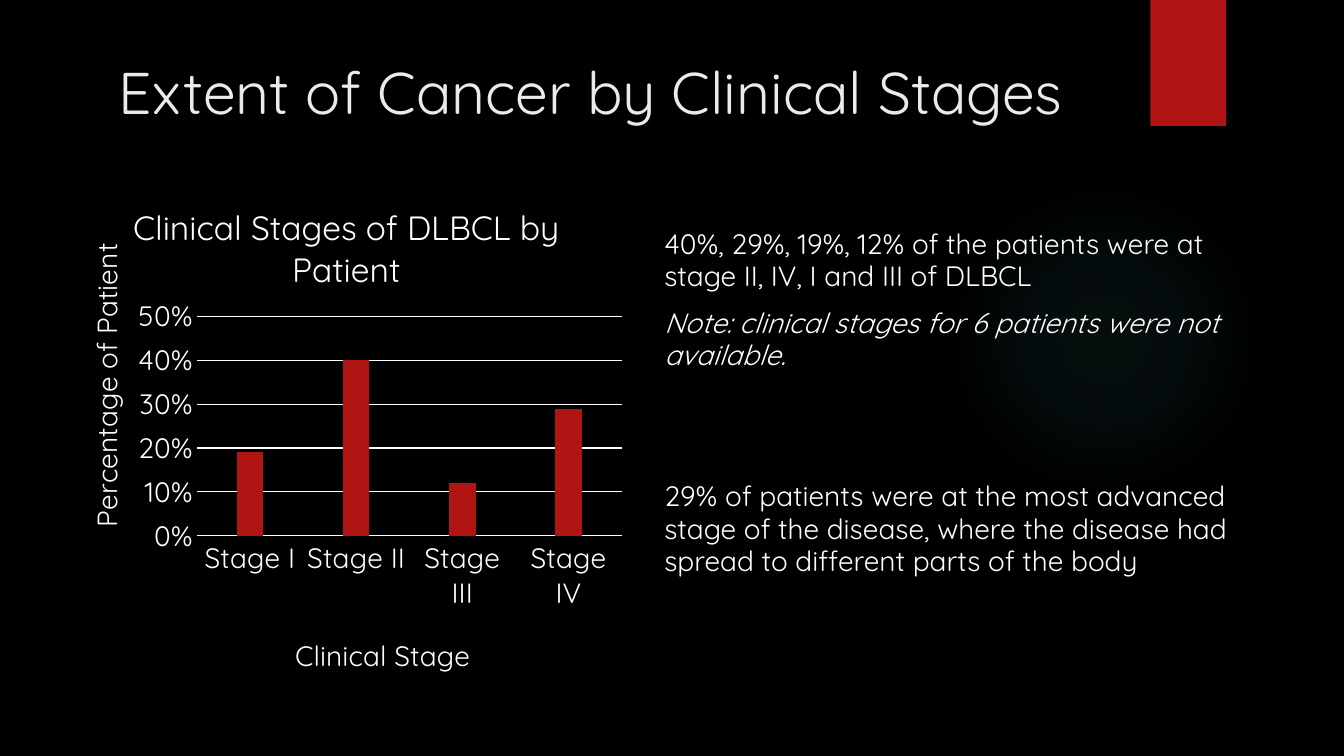
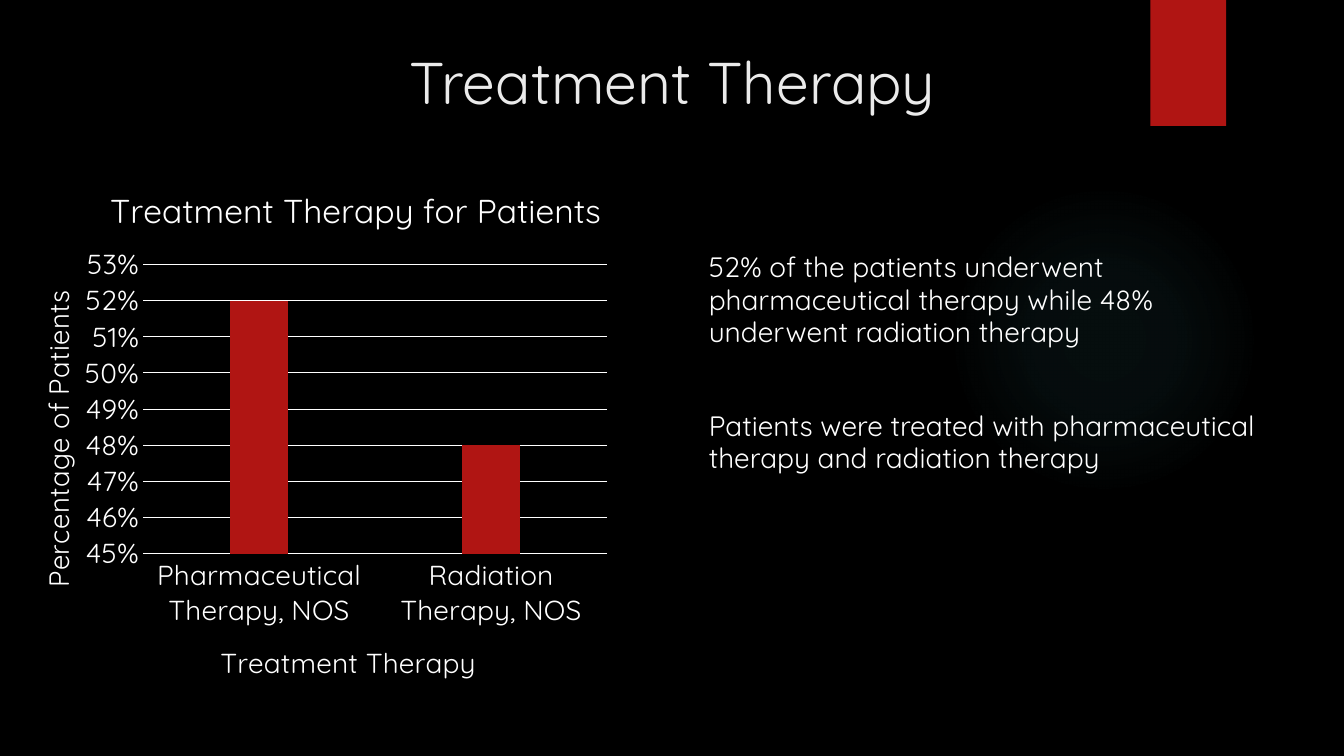
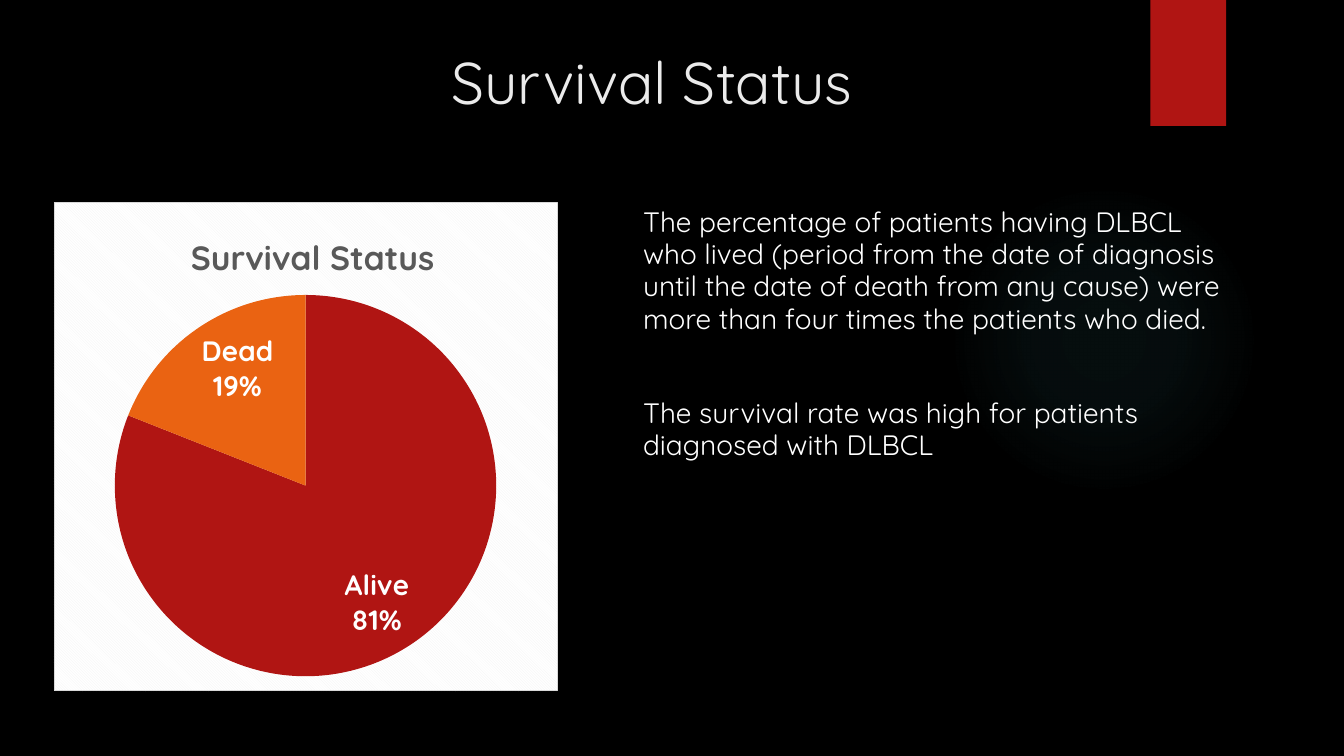
"""Build three slides on clinical stages, therapy and survival of DLBCL patients."""
from lxml import etree
from pptx import Presentation
from pptx.chart.data import CategoryChartData
from pptx.dml.color import RGBColor
from pptx.enum.chart import XL_CHART_TYPE as ChartType
from pptx.enum.chart import XL_LABEL_POSITION as LabelPosition
from pptx.enum.chart import XL_TICK_MARK as TickMark
from pptx.enum.shapes import MSO_SHAPE as Shape
from pptx.enum.text import MSO_ANCHOR as Anchor
from pptx.enum.text import MSO_AUTO_SIZE as AutoSize
from pptx.enum.text import PP_ALIGN as Align
from pptx.oxml import parse_xml
from pptx.oxml.ns import nsdecls, qn
from pptx.util import Inches, Pt

BLACK = RGBColor(0x00, 0x00, 0x00)
WHITE = RGBColor(0xFF, 0xFF, 0xFF)
PALE = RGBColor(0xEB, 0xEB, 0xEB)
GRAY = RGBColor(0x59, 0x59, 0x59)
RED = RGBColor(0xB0, 0x15, 0x13)
ORANGE = RGBColor(0xEA, 0x63, 0x12)
TEAL = RGBColor(0x50, 0xB9, 0xC1)
FONT = "Quicksand"
TITLE_SIZE, HEADING_SIZE, TEXT_SIZE = 42, 24, 20
GLOW_STOPS = [(0, 7), (36, 6), (69, 0)]
NO_FILL = "<a:noFill/><a:ln><a:noFill/></a:ln>"
STRIPES = (
    '<a:pattFill prst="dkDnDiag"><a:fgClr><a:srgbClr val="F2F2F2"/></a:fgClr>'
    '<a:bgClr><a:srgbClr val="FFFFFF"/></a:bgClr></a:pattFill>'
    '<a:ln w="9525"><a:solidFill><a:srgbClr val="D9D9D9"/></a:solidFill></a:ln>'
)

SLIDES = [
    {
        "title": "Extent of Cancer by Clinical Stages",
        "title_area": (5.33, 6.67, 77.2, 13.87),
        "body_area": (48.69, 29.6, 44.49, 60.4),
        "body": [
            ("40%, 29%, 19%, 12% of the patients were at stage II, IV, I and III of DLBCL", 0, False),
            ("Note: clinical stages for 6 patients were not available.", 10, True),
            ("29% of patients were at the most advanced stage of the disease, where the "
             "disease had spread to different parts of the body", 78, False),
        ],
        "chart_area": (3.83, 22.53, 43.29, 69.07),
        "heading": ("Clinical Stages of DLBCL by Patient", (0.13, 0.05)),
        "values": {"Stage I": 0.19, "Stage II": 0.4, "Stage III": 0.12, "Stage IV": 0.29},
        "plot": (0.25, 0.28, 0.73, 0.42),
        "scale": (0, 0.5, 0.1),
        "category_title": ("Clinical Stage", (0.41, 0.88)),
        "value_title": ("Percentage of Patient", (0.05, 0.13)),
    },
    {
        "title": "Treatment Therapy",
        "title_area": (6.9, 5.33, 86.27, 11.47),
        "body_area": (52, 32.67, 44.86, 57),
        "body": [
            ("52% of the patients underwent pharmaceutical therapy while 48% underwent "
             "radiation therapy", 0, False),
            ("Patients were treated with pharmaceutical therapy and radiation therapy", 44, False),
        ],
        "chart_area": (1.43, 20.4, 48.61, 70.8),
        "heading": ("Treatment Therapy for Patients", (0.13, 0.05)),
        "values": {"Pharmaceutical Therapy, NOS": 0.52, "Radiation Therapy, NOS": 0.48},
        "plot": (0.19, 0.21, 0.71, 0.55),
        "scale": (0.45, 0.53, 0.01),
        "category_title": ("Treatment Therapy", (0.3, 0.92)),
        "value_title": ("Percentage of Patients", (0.02, 0.26)),
    },
    {
        "title": "Survival Status",
        "title_area": (3.9, 5.33, 89.2, 12.93),
        "body_area": (47.11, 26.67, 46.06, 63.47),
        "body": [
            ("The percentage of patients having DLBCL who lived (period from the date of "
             "diagnosis until the date of death from any cause) were more than four times "
             "the patients who died.", 0, False),
            ("The survival rate was high for patients diagnosed with DLBCL", 44, False),
        ],
        "chart_area": (3.98, 26.67, 37.51, 64.8),
        "heading": ("Survival Status", (0.26, 0.05)),
        "values": {"Alive": 81, "Dead": 19},
        "plot": (0.12, 0.19, 0.76, 0.78),
        "scale": None,
    },
]

deck = Presentation()
deck.slide_width, deck.slide_height = Inches(13.33), Inches(7.5)
COLUMN, ROW = deck.slide_width / 100, deck.slide_height / 100


def write(para, text, size=TEXT_SIZE, color=WHITE, bold=False, italic=False,
          align=None, before=None, spacing=None):
    """Add formatted text to a paragraph."""
    span = para.add_run()
    span.text = text
    span.font.name, span.font.size = FONT, Pt(size)
    span.font.bold, span.font.italic = bold, italic
    span.font.color.rgb = color
    para.alignment, para.line_spacing = align, spacing
    if before is not None:
        para.space_before = Pt(before)


def place(element, shares, inner=False):
    """Fix a chart part at shares of the chart's size."""
    for old in element.findall(qn("c:layout")):
        element.remove(old)
    layout = etree.Element(qn("c:layout"))
    manual = etree.SubElement(layout, qn("c:manualLayout"))
    settings = [("layoutTarget", "inner")] if inner else []
    settings += [("xMode", "edge"), ("yMode", "edge")]
    settings += zip("xywh", shares)
    for name, value in settings:
        etree.SubElement(manual, qn(f"c:{name}")).set("val", str(value))
    element.insert(0 if inner else 1, layout)


deck.slide_master.background.fill.solid()
deck.slide_master.background.fill.fore_color.rgb = BLACK
title_only = deck.slide_layouts[5]
slides = [deck.slides.add_slide(title_only) for _ in SLIDES]

decorations = [(Shape.OVAL, (70.6, 24.4, 23.1, 41.07)), (Shape.RECTANGLE, (85.6, 0, 5.63, 16.67))]
for kind, (left, top, width, height) in decorations:
    decoration = slides[0].shapes.add_shape(
        kind, int(left * COLUMN), int(top * ROW), int(width * COLUMN), int(height * ROW))
    decoration.shadow.inherit = False
    decoration.line.fill.background()
    decoration.fill.solid()
    decoration.fill.fore_color.rgb = RED
    if kind == Shape.OVAL:
        stops = "".join(
            f'<a:gs pos="{position * 1000}"><a:srgbClr val="{TEAL}">'
            f'<a:alpha val="{alpha * 1000}"/></a:srgbClr></a:gs>'
            for position, alpha in GLOW_STOPS)
        solid = decoration.element.spPr.find(qn("a:solidFill"))
        solid.getparent().replace(solid, parse_xml(
            f'<a:gradFill {nsdecls("a")}><a:gsLst>{stops}</a:gsLst><a:path path="circle">'
            '<a:fillToRect l="50000" t="50000" r="50000" b="50000"/></a:path></a:gradFill>'))
    title_only.shapes.element.append(decoration.element)

for slide, content in zip(slides, SLIDES):
    title_area, body_area, chart_area = (
        (int(left * COLUMN), int(top * ROW), int(width * COLUMN), int(height * ROW))
        for left, top, width, height in (
            content["title_area"], content["body_area"], content["chart_area"]))

    title = slide.shapes.title
    title.left, title.top, title.width, title.height = title_area
    title.text_frame.vertical_anchor = Anchor.TOP
    title.text_frame.auto_size = AutoSize.NONE
    title.text_frame.word_wrap = True
    write(title.text_frame.paragraphs[0], content["title"], size=TITLE_SIZE,
          color=PALE, align=Align.CENTER)

    body = slide.shapes.add_textbox(*body_area).text_frame
    body.word_wrap = True
    for index, (text, before, italic) in enumerate(content["body"]):
        para = body.add_paragraph() if index else body.paragraphs[0]
        write(para, text, italic=italic, before=before, spacing=0.96)

    is_pie = content["scale"] is None
    data = CategoryChartData(number_format="0" if is_pie else "0%")
    data.categories = list(content["values"])
    data.add_series("Series 1", list(content["values"].values()))
    chart = slide.shapes.add_chart(
        ChartType.PIE if is_pie else ChartType.COLUMN_CLUSTERED, *chart_area, data).chart
    chart.has_legend = False
    chart.font.name, chart.font.size = FONT, Pt(TEXT_SIZE)
    chart.font.color.rgb = WHITE
    chart.element.find(qn("c:chart")).addnext(parse_xml(
        f'<c:spPr {nsdecls("c", "a")}>{STRIPES if is_pie else NO_FILL}</c:spPr>'))
    place(chart.element.find(".//" + qn("c:plotArea")), content["plot"], inner=True)

    heading, position = content["heading"]
    chart.has_title = True
    write(chart.chart_title.text_frame.paragraphs[0], heading, size=HEADING_SIZE,
          color=GRAY if is_pie else WHITE, bold=is_pie)
    place(chart.chart_title.element, position)

    plot = chart.plots[0]
    series = plot.series[0]
    if is_pie:
        for index, color in enumerate((RED, ORANGE)):
            wedge = series.points[index].format
            wedge.fill.solid()
            wedge.fill.fore_color.rgb = color
        labels = series.data_labels
        labels.show_value = False
        labels.show_category_name = labels.show_percentage = True
        labels.number_format, labels.number_format_is_linked = "0%", False
        labels.position = LabelPosition.INSIDE_END
        labels.font.name, labels.font.size, labels.font.bold = FONT, Pt(TEXT_SIZE), True
        labels.font.color.rgb = WHITE
        separator = etree.Element(qn("c:separator"))
        separator.text = "\n"
        chart.element.find(".//" + qn("c:showBubbleSize")).addnext(separator)
        continue

    plot.vary_by_categories = False
    plot.gap_width = 300
    series.format.fill.solid()
    series.format.fill.fore_color.rgb = RED
    category_axis, value_axis = chart.category_axis, chart.value_axis
    value_axis.minimum_scale, value_axis.maximum_scale, value_axis.major_unit = content["scale"]
    value_axis.has_major_gridlines = True
    value_axis.format.line.fill.background()
    value_axis.tick_labels.number_format = "0%"
    value_axis.tick_labels.number_format_is_linked = False
    for line in (category_axis.format.line, value_axis.major_gridlines.format.line):
        line.color.rgb, line.width = WHITE, Pt(0.75)
    for axis, key in ((category_axis, "category_title"), (value_axis, "value_title")):
        text, position = content[key]
        axis.major_tick_mark = TickMark.NONE
        axis.has_title = True
        frame = axis.axis_title.text_frame
        write(frame.paragraphs[0], text)
        if axis is value_axis:
            body_properties = axis.axis_title.element.find(".//" + qn("a:bodyPr"))
            body_properties.set("rot", "-5400000")
            body_properties.set("vert", "horz")
        place(axis.axis_title.element, position)

deck.save("out.pptx")
